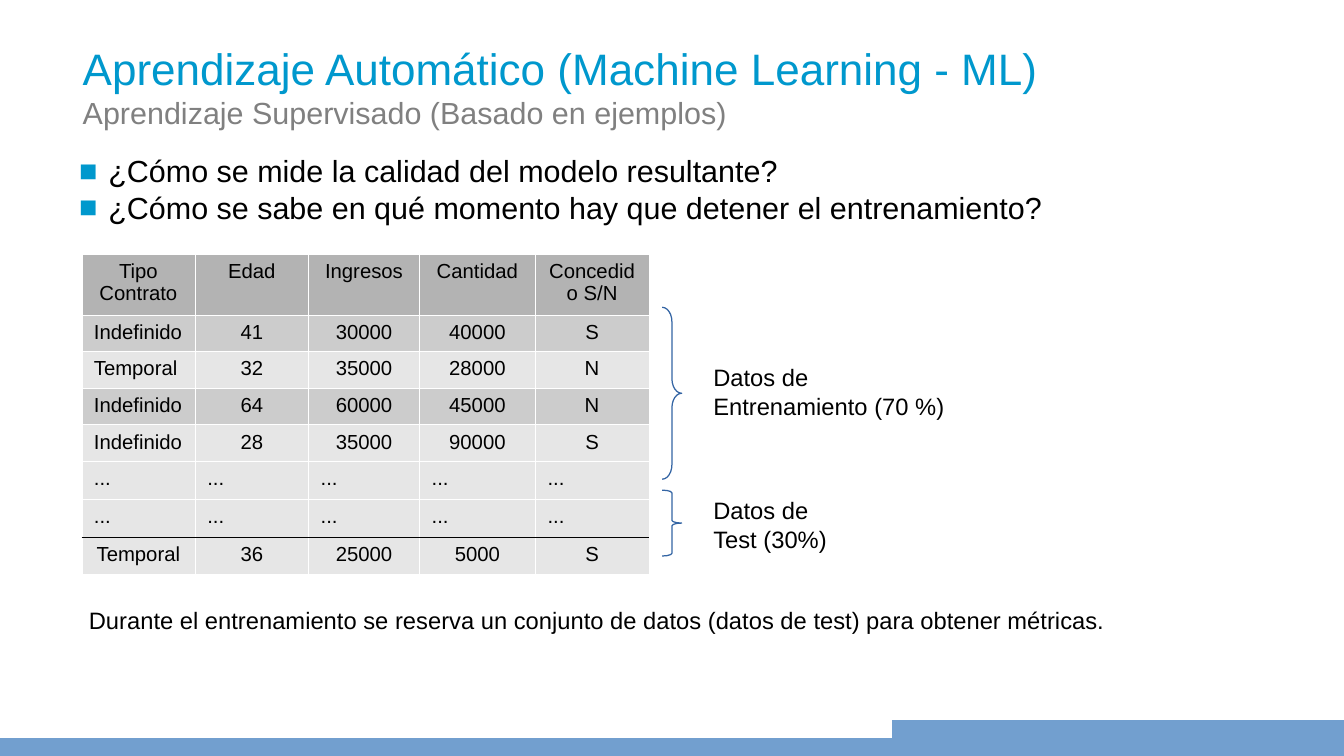
from pptx import Presentation
from pptx.dml.color import RGBColor
from pptx.enum.shapes import MSO_SHAPE as SHAPE
from pptx.enum.text import PP_ALIGN as ALIGN
from pptx.oxml import parse_xml
from pptx.oxml.ns import nsdecls
from pptx.util import Inches, Pt

COLORS = {
    "title": "0098CD", "subtitle": "808080", "text": "000000",
    "header": "B3B3B3", "dark": "CCCCCC", "light": "E6E6E6",
    "border": "FFFFFF", "split": "000000",
    "brace": "3465A4", "footer": "729FCF",
}
COL_WIDTHS = [0.93, 0.93, 0.91, 0.95, 0.93]
ROW_HEIGHTS = [0.47] + [0.29] * 4 + [0.31] * 3
ROW_FILLS = ["header", "dark", "light", "dark"] + ["light"] * 4
LOANS = [
    ["Tipo Contrato", "Edad", "Ingresos", "Cantidad", "Concedido S/N"],
    ["Indefinido", "41", "30000", "40000", "S"],
    ["Temporal", "32", "35000", "28000", "N"],
    ["Indefinido", "64", "60000", "45000", "N"],
    ["Indefinido", "28", "35000", "90000", "S"],
    ["..."] * 5,
    ["..."] * 5,
    ["Temporal", "36", "25000", "5000", "S"],
]


def rgb(name):
    return RGBColor.from_string(COLORS[name])


def write(p, text, size, color="text"):
    r = p.add_run()
    r.text = text
    font = {"name": "Arial", "size": Pt(size), "bold": False}
    for key, value in font.items():
        setattr(r.font, key, value)
    r.font.color.rgb = rgb(color)


def add_bullet(p):
    pPr = p._p.get_or_add_pPr()
    pPr.set("marL", str(Inches(0.24)))
    pPr.set("indent", str(Inches(-0.24)))
    for xml in (
        f'<a:buClr {nsdecls("a")}><a:srgbClr val="{COLORS["title"]}"/></a:buClr>',
        f'<a:buFont {nsdecls("a")} typeface="Arial"/>',
        f'<a:buChar {nsdecls("a")} char="■"/>',
    ):
        pPr.append(parse_xml(xml))


def add_text(s, box, lines, bullets=False, top_inset=0.05):
    tf = s.shapes.add_textbox(*map(Inches, box)).text_frame
    tf.word_wrap = True
    tf.margin_top = Inches(top_inset)
    for i, line in enumerate(lines):
        p = tf.paragraphs[0] if i == 0 else tf.add_paragraph()
        if bullets:
            add_bullet(p)
        write(p, *line)


def set_borders(cell, **sides):
    tcPr = cell._tc.get_or_add_tcPr()
    for side, color in sides.items():
        tcPr.append(parse_xml(
            f'<a:ln{side} {nsdecls("a")} w="{Pt(0.06)}"><a:solidFill>'
            f'<a:srgbClr val="{COLORS[color]}"/></a:solidFill></a:ln{side}>'))


def cell_align(row, col, text):
    names = col == 0 and 0 < row < 5
    return ALIGN.LEFT if names or text == "..." else ALIGN.CENTER


def add_loans_table(s):
    box = map(Inches, (0.67, 2.08, sum(COL_WIDTHS), sum(ROW_HEIGHTS)))
    table = s.shapes.add_table(len(LOANS), len(COL_WIDTHS), *box).table
    table.first_row = table.horz_banding = False
    for column, width in zip(table.columns, COL_WIDTHS):
        column.width = Inches(width)
    for row, height in zip(table.rows, ROW_HEIGHTS):
        row.height = Inches(height)
    test_row = len(LOANS) - 1
    for i, values in enumerate(LOANS):
        for j, text in enumerate(values):
            cell = table.cell(i, j)
            set_borders(cell, L="border", R="border",
                        T="split" if i == test_row else "border",
                        B="split" if i == test_row - 1 else "border")
            cell.fill.solid()
            cell.fill.fore_color.rgb = rgb(ROW_FILLS[i])
            p = cell.text_frame.paragraphs[0]
            p.alignment = cell_align(i, j, text)
            write(p, text, 12)


def style_shape(sp, line, fill=None):
    sp.shadow.inherit = False
    sp.line.color.rgb = rgb(line)
    sp.line.width = Pt(0.75)
    if fill:
        sp.fill.solid()
        sp.fill.fore_color.rgb = rgb(fill)
    else:
        sp.fill.background()


def add_brace(s, top, height, curve):
    box = map(Inches, (5.43, top, 0.16, height))
    sp = s.shapes.add_shape(SHAPE.RIGHT_BRACE, *box)
    sp.adjustments[0] = curve
    style_shape(sp, "brace")


def add_footer(s):
    for box in ((0, 6.06, 11.02, 0.14), (7.32, 5.91, 3.7, 0.29)):
        sp = s.shapes.add_shape(SHAPE.RECTANGLE, *map(Inches, box))
        style_shape(sp, "footer", "footer")
    slope = s.shapes.build_freeform(7.32, 5.91, scale=Inches(1))
    slope.add_line_segments([(7, 6.2), (7.32, 6.2)], close=True)
    style_shape(slope.convert_to_shape(), "footer", "footer")


def main():
    prs = Presentation()
    prs.slide_width, prs.slide_height = Inches(11.02), Inches(6.2)
    s = prs.slides.add_slide(prs.slide_layouts[6])
    add_text(s, (0.55, 1.2, 8.97, 0.61), [
        ("¿Cómo se mide la calidad del modelo resultante?", 18),
        ("¿Cómo se sabe en qué momento hay que detener el entrenamiento?", 18),
    ], bullets=True)
    add_loans_table(s)
    add_brace(s, 2.52, 1.41, 0.75)
    add_brace(s, 4.02, 0.54, 0.14)
    for top, label in ((2.93, "Entrenamiento (70 %)"), (4.02, "Test (30%)")):
        add_text(s, (5.75, top, 2.52, 0.53), [("Datos de", 14), (label, 14)])
    add_text(s, (0.63, 4.92, 9.05, 0.31), [
        ("Durante el entrenamiento se reserva un conjunto de datos "
         "(datos de test) para obtener métricas.", 14),
    ])
    add_text(s, (0.58, 0.25, 9.65, 0.78), [
        ("Aprendizaje Automático (Machine Learning - ML)", 26, "title"),
        ("Aprendizaje Supervisado (Basado en ejemplos)", 18, "subtitle"),
    ], top_inset=0.09)
    add_footer(s)
    prs.save("out.pptx")


if __name__ == "__main__":
    main()
